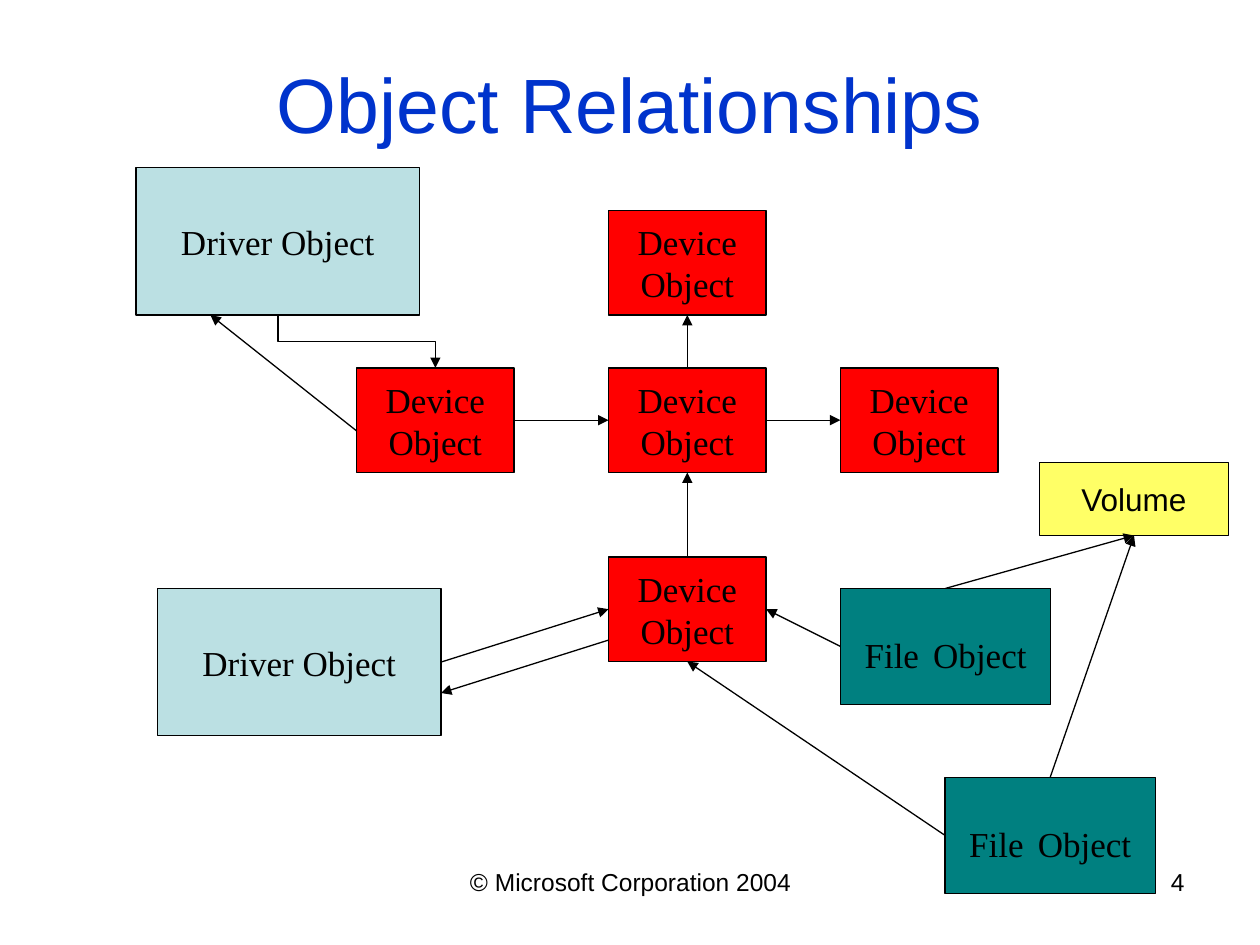
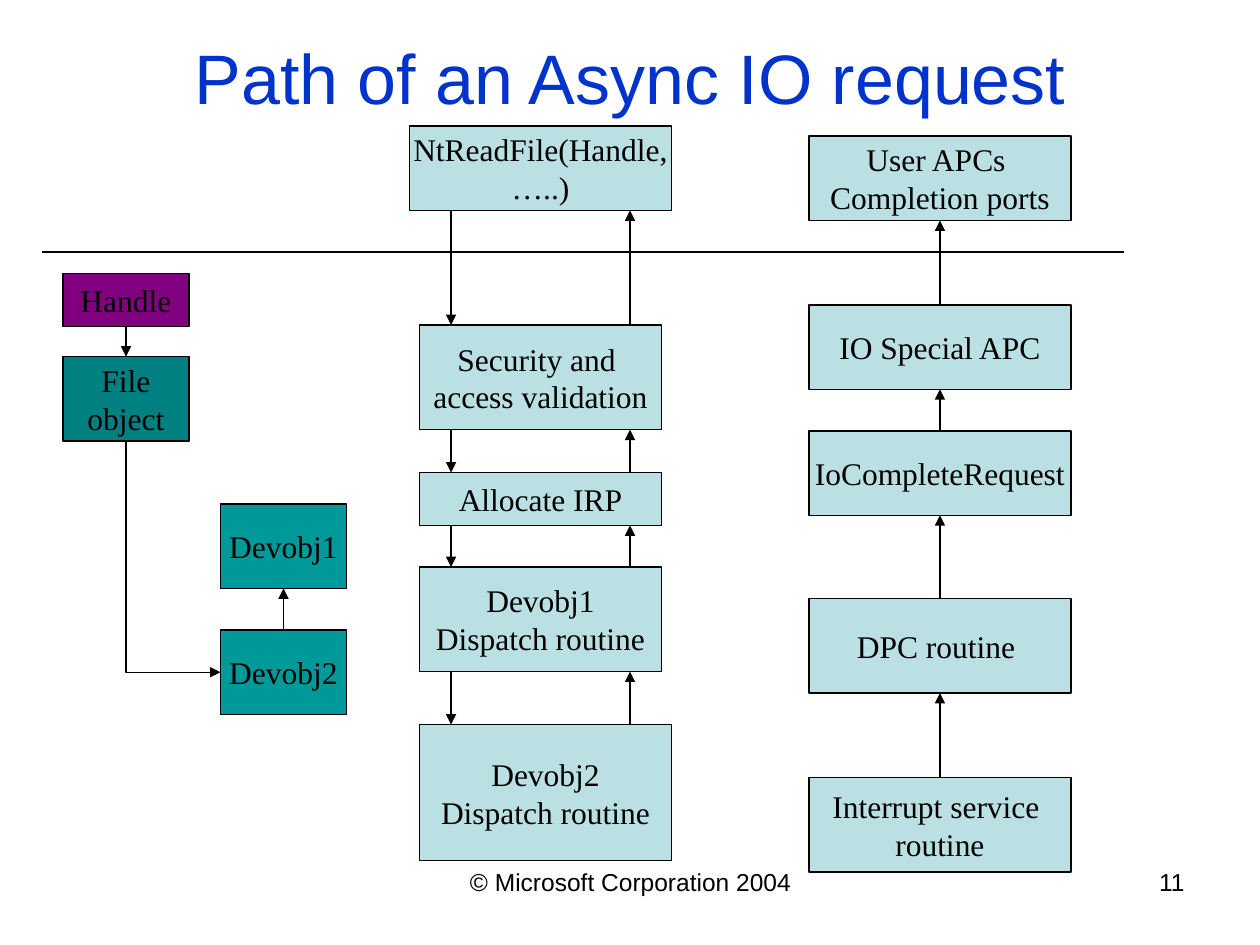
from dataclasses import dataclass
from itertools import pairwise
from typing import Optional

from lxml import etree
from pptx import Presentation
from pptx import util as u
from pptx.dml.color import RGBColor
from pptx.enum import shapes, text
from pptx.oxml.ns import qn
from pptx.shapes.autoshape import Shape
from pptx.shapes.connector import Connector
from pptx.slide import Slide

BLACK = RGBColor(0x00, 0x00, 0x00)
TITLE_BLUE = RGBColor(0x00, 0x33, 0xCC)
PALE_BLUE = RGBColor(0xBB, 0xE0, 0xE3)
RED = RGBColor(0xFF, 0x00, 0x00)
TEAL = RGBColor(0x00, 0x80, 0x80)
LIGHT_TEAL = RGBColor(0x00, 0x99, 0x99)
YELLOW = RGBColor(0xFF, 0xFF, 0x66)
PURPLE = RGBColor(0x80, 0x00, 0x80)
SANS, SERIF = "Arial", "Times New Roman"
TOP, LEFT, BOTTOM, RIGHT = range(4)
CENTER = text.PP_ALIGN.CENTER
RECT = shapes.MSO_SHAPE.RECTANGLE
PROCESS = shapes.MSO_SHAPE.FLOWCHART_PROCESS
LINE_WIDTH = u.Pt(0.75)


@dataclass(frozen=True)
class Run:
    text: str
    size: float
    font: str = SERIF
    color: RGBColor = BLACK


Lines = list[list[Run]]


@dataclass(frozen=True)
class Box:
    left: float
    top: float
    width: float
    height: float
    fill: RGBColor
    lines: Lines
    preset: shapes.MSO_SHAPE = RECT


@dataclass(frozen=True)
class End:
    box: str
    side: int
    at: Optional[float] = None


@dataclass(frozen=True)
class Arrow:
    start: End
    end: End
    elbow: str = ""


def plain(content: str, size: float, font: str = SERIF) -> Lines:
    return [[Run(line, size, font)] for line in content.split("\n")]


def write(sp: Shape, lines: Lines, align: text.PP_ALIGN, anchor: text.MSO_ANCHOR, wrap: bool) -> None:
    tf = sp.text_frame
    tf.word_wrap = wrap
    tf.vertical_anchor = anchor
    for i, line in enumerate(lines):
        p = tf.add_paragraph() if i else tf.paragraphs[0]
        p.alignment = align
        for run in line:
            r = p.add_run()
            r.text = run.text
            r.font.size = u.Pt(run.size)
            r.font.name = run.font
            r.font.color.rgb = run.color


def add_label(s: Slide, left: float, top: float, width: float, height: float, run: Run,
              align: text.PP_ALIGN = CENTER, anchor: text.MSO_ANCHOR = text.MSO_ANCHOR.TOP) -> None:
    sp = s.shapes.add_textbox(*map(u.Inches, (left, top, width, height)))
    write(sp, [[run]], align, anchor, True)


def add_frame(s: Slide, title: str, size: float, height: float, number: int) -> None:
    add_label(s, 0.5, 0.3, 9, height, Run(title, size, SANS, TITLE_BLUE), anchor=text.MSO_ANCHOR.MIDDLE)
    add_label(s, 3.42, 6.83, 3.17, 0.52, Run("© Microsoft Corporation 2004", 14, SANS))
    add_label(s, 7.17, 6.83, 2.33, 0.52, Run(str(number), 14, SANS), text.PP_ALIGN.RIGHT)


def add_box(s: Slide, box: Box) -> Shape:
    sp = s.shapes.add_shape(box.preset, *map(u.Inches, (box.left, box.top, box.width, box.height)))
    sp.shadow.inherit = False
    sp.fill.solid()
    sp.fill.fore_color.rgb = box.fill
    sp.line.color.rgb = BLACK
    sp.line.width = LINE_WIDTH
    write(sp, box.lines, CENTER, text.MSO_ANCHOR.MIDDLE, False)
    return sp


def add_line(s: Slide, kind: shapes.MSO_CONNECTOR, x1: float, y1: float, x2: float, y2: float,
             head: bool = True) -> Connector:
    c = s.shapes.add_connector(kind, *map(u.Inches, (x1, y1, x2, y2)))
    c.line.color.rgb = BLACK
    c.line.width = LINE_WIDTH
    props = c._element.spPr
    if head:
        etree.SubElement(props.find(qn("a:ln")), qn("a:tailEnd"), type="triangle")
    etree.SubElement(props, qn("a:effectLst"))
    return c


def locate(box: Box, end: End) -> tuple[float, float]:
    if end.side in (TOP, BOTTOM):
        x = box.left + box.width / 2 if end.at is None else end.at
        return x, box.top + (box.height if end.side == BOTTOM else 0)
    y = box.top + box.height / 2 if end.at is None else end.at
    return box.left + (box.width if end.side == RIGHT else 0), y


def add_elbow(s: Slide, preset: str, x1: float, y1: float, x2: float, y2: float) -> None:
    cx, cy = (x1 + x2) / 2, (y1 + y2) / 2
    half_w, half_h = (y2 - y1) / 2, (x2 - x1) / 2
    c = add_line(s, shapes.MSO_CONNECTOR.ELBOW, cx + half_w, cy - half_h, cx - half_w, cy + half_h)
    props = c._element.spPr
    props.find(qn("a:xfrm")).set("rot", str(270 * 60000))
    props.find(qn("a:prstGeom")).set("prst", preset)


def add_diagram(s: Slide, boxes: dict[str, Box], arrows: list[Arrow]) -> None:
    drawn = {name: add_box(s, box) for name, box in boxes.items()}
    for arrow in arrows:
        start, end = arrow.start, arrow.end
        points = *locate(boxes[start.box], start), *locate(boxes[end.box], end)
        if arrow.elbow:
            add_elbow(s, arrow.elbow, *points)
            continue
        c = add_line(s, shapes.MSO_CONNECTOR.STRAIGHT, *points)
        if start.at is None:
            c.begin_connect(drawn[start.box], start.side)
        if end.at is None:
            c.end_connect(drawn[end.box], end.side)


def build_relationships(s: Slide) -> None:
    def driver(left: float, top: float) -> Box:
        return Box(left, top, 2.25, 1.17, PALE_BLUE, plain("Driver Object", 20))

    def device(left: float, top: float) -> Box:
        return Box(left, top, 1.25, 0.83, RED, plain("Device\nObject", 20))

    def file(left: float, top: float) -> Box:
        return Box(left, top, 1.67, 0.92, TEAL, [[Run("File", 20), Run(" ", 32), Run("Object", 20)]])

    boxes = {
        "upper driver": driver(1.08, 1.33),
        "left device": device(2.83, 2.92),
        "centre device": device(4.83, 2.92),
        "right device": device(6.67, 2.92),
        "top device": device(4.83, 1.67),
        "bottom device": device(4.83, 4.42),
        "upper file": file(6.67, 4.67),
        "lower driver": driver(1.25, 4.67),
        "lower file": file(7.5, 6.17),
        "volume": Box(8.25, 3.67, 1.5, 0.58, YELLOW, plain("Volume", 18, SANS)),
    }
    arrows = [
        Arrow(End("upper driver", BOTTOM), End("left device", TOP), "bentConnector3"),
        Arrow(End("left device", RIGHT), End("centre device", LEFT)),
        Arrow(End("centre device", RIGHT), End("right device", LEFT)),
        Arrow(End("bottom device", TOP), End("centre device", BOTTOM)),
        Arrow(End("centre device", TOP), End("top device", BOTTOM)),
        Arrow(End("upper file", LEFT), End("bottom device", RIGHT)),
        Arrow(End("lower driver", RIGHT), End("bottom device", LEFT)),
        Arrow(End("lower file", LEFT), End("bottom device", BOTTOM)),
        Arrow(End("left device", LEFT, 3.42), End("upper driver", BOTTOM, 1.67)),
        Arrow(End("bottom device", LEFT, 5.08), End("lower driver", RIGHT, 5.5)),
        Arrow(End("upper file", TOP), End("volume", BOTTOM)),
        Arrow(End("lower file", TOP), End("volume", BOTTOM)),
    ]
    add_diagram(s, boxes, arrows)
    add_frame(s, "Object Relationships", 44, 1.03, 4)


def build_async_path(s: Slide) -> None:
    def small(left: float, top: float, height: float, fill: RGBColor, label: str) -> Box:
        return Box(left, top, 1, height, fill, plain(label, 18))

    def stage(top: float, height: float, label: str, preset: shapes.MSO_SHAPE = PROCESS,
              left: float = 3.33, width: float = 1.92) -> Box:
        return Box(left, top, width, height, PALE_BLUE, plain(label, 18), preset)

    def completion(top: float, height: float, label: str) -> Box:
        return stage(top, height, label, RECT, 6.42, 2.08)

    objects = {
        "handle": small(0.5, 2.17, 0.42, PURPLE, "Handle"),
        "file": small(0.5, 2.83, 0.67, TEAL, "File\nobject"),
        "devobj1": small(1.75, 4, 0.67, LIGHT_TEAL, "Devobj1"),
        "devobj2": small(1.75, 5, 0.67, LIGHT_TEAL, "Devobj2"),
    }
    request = {
        "read": stage(1, 0.67, "NtReadFile(Handle,\n…..)", RECT, 3.25, 2.08),
        "security": stage(2.58, 0.83, "Security and \naccess validation"),
        "allocate": stage(3.75, 0.42, "Allocate IRP", RECT),
        "dispatch1": stage(4.5, 0.83, "Devobj1\nDispatch routine"),
        "dispatch2": stage(5.75, 1.08, "Devobj2\nDispatch routine", width=2),
    }
    finish = {
        "user": completion(1.08, 0.67, "User APCs \nCompletion ports"),
        "special": completion(2.42, 0.67, "IO Special APC"),
        "complete": completion(3.42, 0.67, "IoCompleteRequest"),
        "dpc": completion(4.75, 0.75, "DPC routine "),
        "interrupt": completion(6.17, 0.75, "Interrupt service \nroutine"),
    }
    arrows = [
        Arrow(End("handle", BOTTOM), End("file", TOP)),
        Arrow(End("file", BOTTOM), End("devobj2", LEFT), "bentConnector2"),
        Arrow(End("devobj2", TOP), End("devobj1", BOTTOM)),
    ]
    for upper, lower in pairwise(request):
        arrows.append(Arrow(End(upper, BOTTOM, 3.58), End(lower, TOP, 3.58)))
        arrows.append(Arrow(End(lower, TOP, 5), End(upper, BOTTOM, 5)))
    for upper, lower in pairwise(finish):
        arrows.append(Arrow(End(lower, TOP), End(upper, BOTTOM)))
    add_line(s, shapes.MSO_CONNECTOR.STRAIGHT, 0.33, 2, 8.92, 2, head=False)
    add_diagram(s, objects | request | finish, arrows)
    add_frame(s, "Path of an Async IO request", 40, 0.62, 11)


def main() -> None:
    prs = Presentation()
    prs.slide_width, prs.slide_height = u.Inches(10), u.Inches(7.5)
    for build in (build_relationships, build_async_path):
        build(prs.slides.add_slide(prs.slide_layouts[6]))
    prs.save("out.pptx")


if __name__ == "__main__":
    main()
